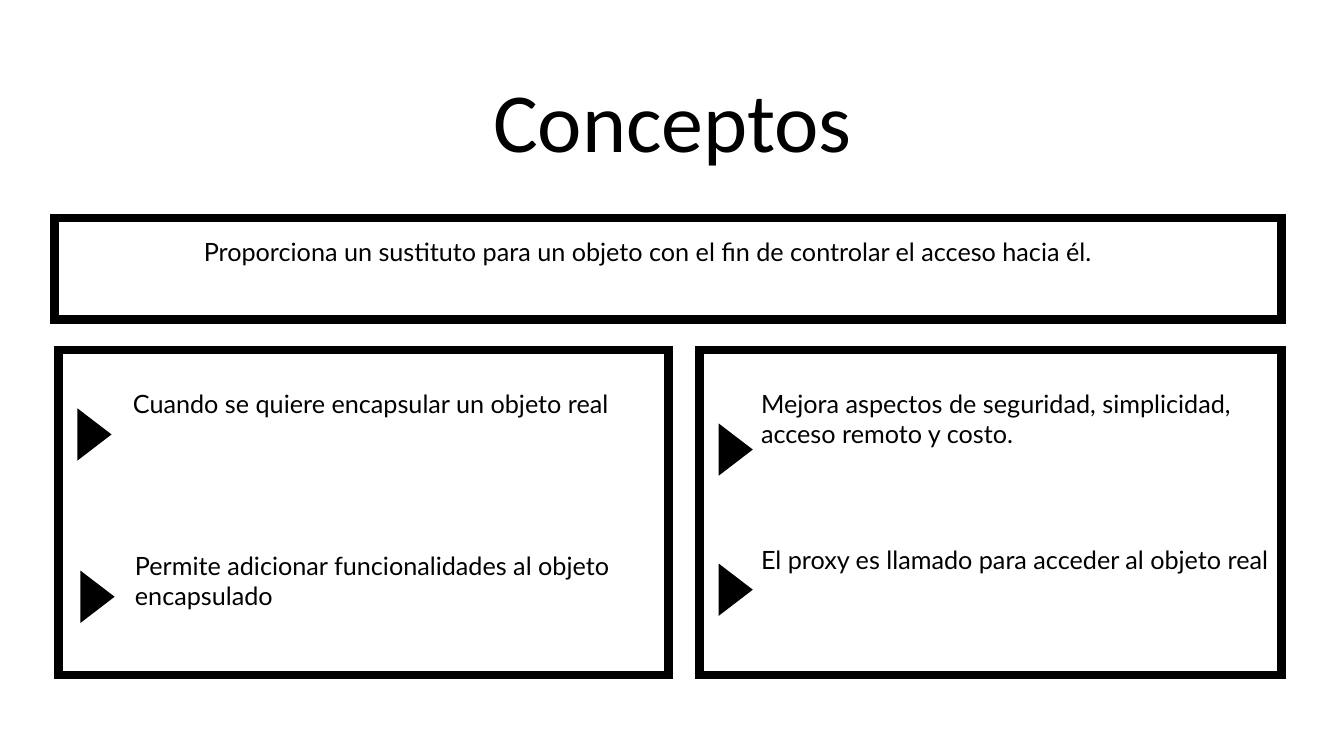
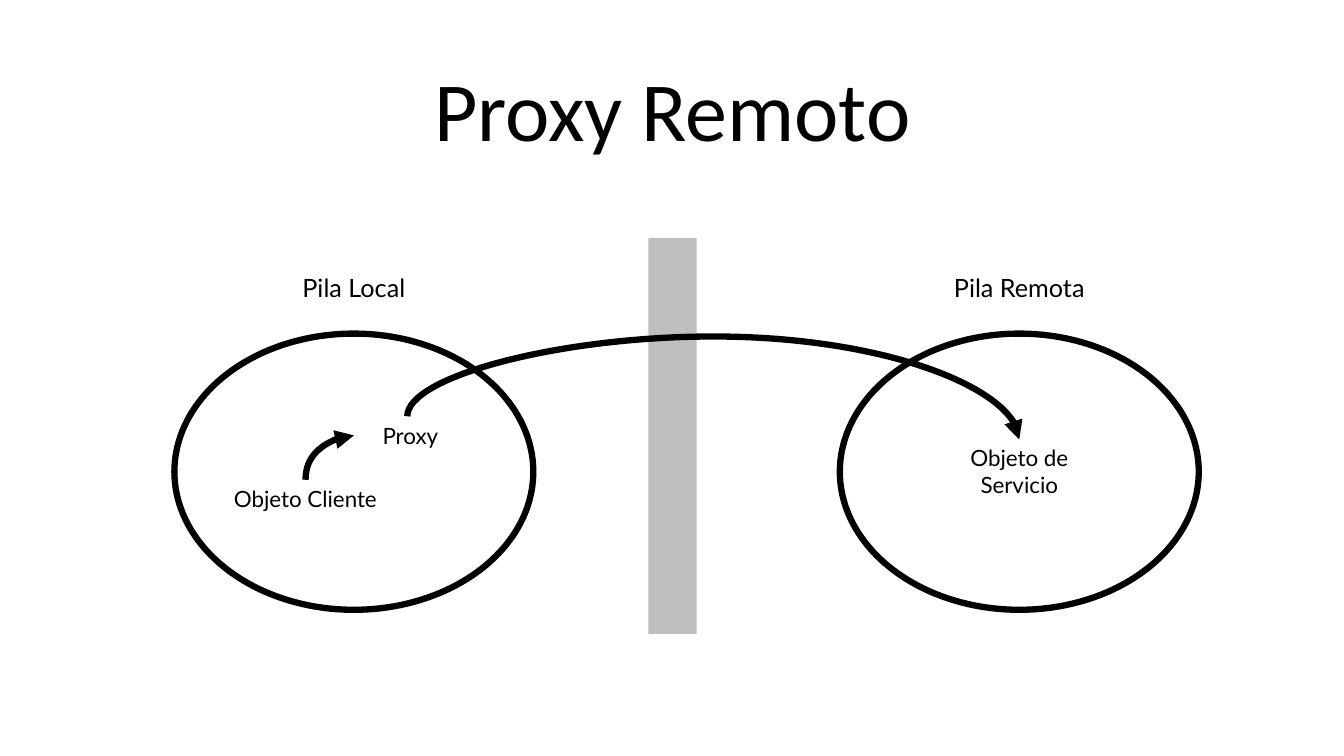
from dataclasses import dataclass

from lxml.etree import SubElement
from pptx import Presentation
from pptx.dml.color import RGBColor
from pptx.enum.shapes import MSO_CONNECTOR as Connectors, MSO_SHAPE as Shapes
from pptx.enum.text import MSO_ANCHOR as Anchor, MSO_AUTO_SIZE as AutoSize, PP_ALIGN as Align
from pptx.oxml.ns import qn
from pptx.presentation import Presentation as Deck
from pptx.shapes.autoshape import Shape
from pptx.slide import Slide
from pptx.util import Inches, Pt

BLACK = "000000"
GREY = "BFBFBF"
TITLE_FONT = "Calibri"
BODY_FONT = "Lato"
TITLE_ONLY_LAYOUT = 5


@dataclass(frozen=True)
class Box:
    """A rectangular area in inches."""

    left: float
    top: float
    width: float
    height: float


@dataclass(frozen=True)
class Label:
    """A text with its area, size and alignment."""

    text: str
    box: Box
    size: float = 18
    align: Align = Align.CENTER


@dataclass(frozen=True)
class Concept:
    """A concept with the places of its text and its marker."""

    text: str
    left: float
    top: float
    marker_left: float
    marker_top: float


@dataclass(frozen=True)
class Stack:
    """A captioned oval that holds objects."""

    caption: str
    left: float


@dataclass(frozen=True)
class Arrow:
    """A curved arrow, given by its unrotated ends in inches."""

    begin: tuple[float, float]
    end: tuple[float, float]
    rotation: int
    geometry: str
    bend: int | None = None


FRAMES = [
    Box(0.54, 2.16, 12.17, 1.01),
    Box(0.58, 3.47, 6.05, 3.23),
    Box(6.94, 3.47, 5.77, 3.23),
]
DEFINITION = Label(
    "Proporciona un sustituto para un objeto con el fin de controlar el acceso hacia él.",
    Box(0.44, 2.29, 11.97, 0.71),
)
CONCEPTS = [
    Concept("Cuando se quiere encapsular un objeto real", 1.22, 3.8, 0.69, 4.15),
    Concept("Permite adicionar funcionalidades al objeto encapsulado", 1.24, 5.41, 0.72, 5.76),
    Concept("Mejora aspectos de seguridad, simplicidad, acceso remoto y costo.", 7.45, 3.8, 7.05, 4.3),
    Concept("El proxy es llamado para acceder al objeto real", 7.45, 5.35, 7.05, 5.69),
]
STACKS = [Stack("Pila Local", 1.73), Stack("Pila Remota", 8.33)]
BARRIER = Box(6.43, 2.36, 0.48, 3.93)
OBJECTS = [
    Label("Objeto Cliente", Box(2.03, 4.76, 2, 0.64), 16),
    Label("Proxy", Box(3.07, 4.14, 2, 0.37), 16),
    Label("Objeto de\nServicio", Box(8.94, 4.36, 2.34, 0.64), 16),
]
ARROWS = [
    Arrow((3.49, 4.78), (3.05, 4.3), 90, "curvedConnector2"),
    Arrow((7.19, 1.21), (6.96, 7.28), 270, "curvedConnector3", -344300),
]


def color(value: str) -> RGBColor:
    """Turn a hex string into a colour."""
    return RGBColor.from_string(value)


def place(shape: Shape, box: Box) -> None:
    """Move and size a shape."""
    shape.left, shape.top = Inches(box.left), Inches(box.top)
    shape.width, shape.height = Inches(box.width), Inches(box.height)


def write(shape: Shape, text: str, size: float, font: str, align: Align) -> None:
    """Write one paragraph, with a line break for each newline."""
    paragraph = shape.text_frame.paragraphs[0]
    paragraph.alignment = align
    for index, line in enumerate(text.split("\n")):
        if index:
            paragraph.add_line_break()
        run = paragraph.add_run()
        run.text = line
        run.font.size = Pt(size)
        run.font.name = font
        run.font.color.rgb = color(BLACK)


def add_titled_slide(presentation: Deck, title: str, top: float) -> Slide:
    """Add a slide with the shared title style."""
    slide = presentation.slides.add_slide(presentation.slide_layouts[TITLE_ONLY_LAYOUT])
    shape = slide.shapes.title
    place(shape, Box(0.92, top, 11.5, 1.45))
    shape.text_frame.vertical_anchor = Anchor.MIDDLE
    shape.text_frame.auto_size = AutoSize.NONE
    write(shape, title, 60, TITLE_FONT, Align.CENTER)
    shape.text_frame.paragraphs[0].line_spacing = 0.9
    return slide


def add_label(slide: Slide, label: Label) -> None:
    """Add a wrapped text box."""
    box = label.box
    shape = slide.shapes.add_textbox(
        Inches(box.left), Inches(box.top), Inches(box.width), Inches(box.height)
    )
    shape.text_frame.word_wrap = True
    write(shape, label.text, label.size, BODY_FONT, label.align)


def add_figure(
    slide: Slide, kind: Shapes, box: Box, fill: str | None = None, line_width: float = 0
) -> Shape:
    """Add a preset shape with an optional fill and black outline."""
    shape = slide.shapes.add_shape(
        kind, Inches(box.left), Inches(box.top), Inches(box.width), Inches(box.height)
    )
    shape.shadow.inherit = False
    if fill:
        shape.fill.solid()
        shape.fill.fore_color.rgb = color(fill)
    else:
        shape.fill.background()
    if line_width:
        shape.line.color.rgb = color(BLACK)
        shape.line.width = Pt(line_width)
        outline = shape._element.spPr.find(qn("a:ln"))
        SubElement(outline, qn("a:miter"), lim="800000")
    else:
        shape.line.fill.background()
    return shape


def add_arrow(slide: Slide, arrow: Arrow) -> None:
    """Add a curved connector with a triangular head."""
    ends = [Inches(value) for value in (*arrow.begin, *arrow.end)]
    connector = slide.shapes.add_connector(Connectors.CURVE, *ends)
    connector.line.color.rgb = color(BLACK)
    connector.line.width = Pt(4.5)
    properties = connector._element.spPr
    properties.find(qn("a:xfrm")).set("rot", str(arrow.rotation * 60000))
    geometry = properties.find(qn("a:prstGeom"))
    geometry.set("prst", arrow.geometry)
    if arrow.bend is not None:
        adjustments = geometry.find(qn("a:avLst"))
        SubElement(adjustments, qn("a:gd"), name="adj1", fmla=f"val {arrow.bend}")
    SubElement(properties.find(qn("a:ln")), qn("a:tailEnd"), type="triangle")
    SubElement(properties, qn("a:effectLst"))


def build_concepts(presentation: Deck) -> None:
    """Build the slide of framed concepts."""
    slide = add_titled_slide(presentation, "Conceptos", 0.52)
    add_label(slide, DEFINITION)
    for frame in FRAMES:
        add_figure(slide, Shapes.RECTANGLE, frame, line_width=6)
    for concept in CONCEPTS:
        area = Box(concept.left, concept.top, 5.3, 1.01)
        add_label(slide, Label(concept.text, area, align=Align.LEFT))
        marker_box = Box(concept.marker_left, concept.marker_top, 0.49, 0.32)
        marker = add_figure(slide, Shapes.ISOSCELES_TRIANGLE, marker_box, BLACK, 1)
        marker.rotation = 90


def build_remote_proxy(presentation: Deck) -> None:
    """Build the diagram of the remote proxy."""
    slide = add_titled_slide(presentation, "Proxy Remoto", 0.41)
    for stack in STACKS:
        add_figure(slide, Shapes.OVAL, Box(stack.left, 3.31, 3.56, 2.74), line_width=4.5)
        add_label(slide, Label(stack.caption, Box(stack.left + 0.3, 2.65, 2.96, 0.4)))
    add_figure(slide, Shapes.RECTANGLE, BARRIER, GREY)
    for label in OBJECTS:
        add_label(slide, label)
    for arrow in ARROWS:
        add_arrow(slide, arrow)


def main() -> None:
    """Build and save the presentation."""
    presentation = Presentation()
    presentation.slide_width = Inches(13.33)
    presentation.slide_height = Inches(7.5)
    build_concepts(presentation)
    build_remote_proxy(presentation)
    presentation.save("out.pptx")


if __name__ == "__main__":
    main()
